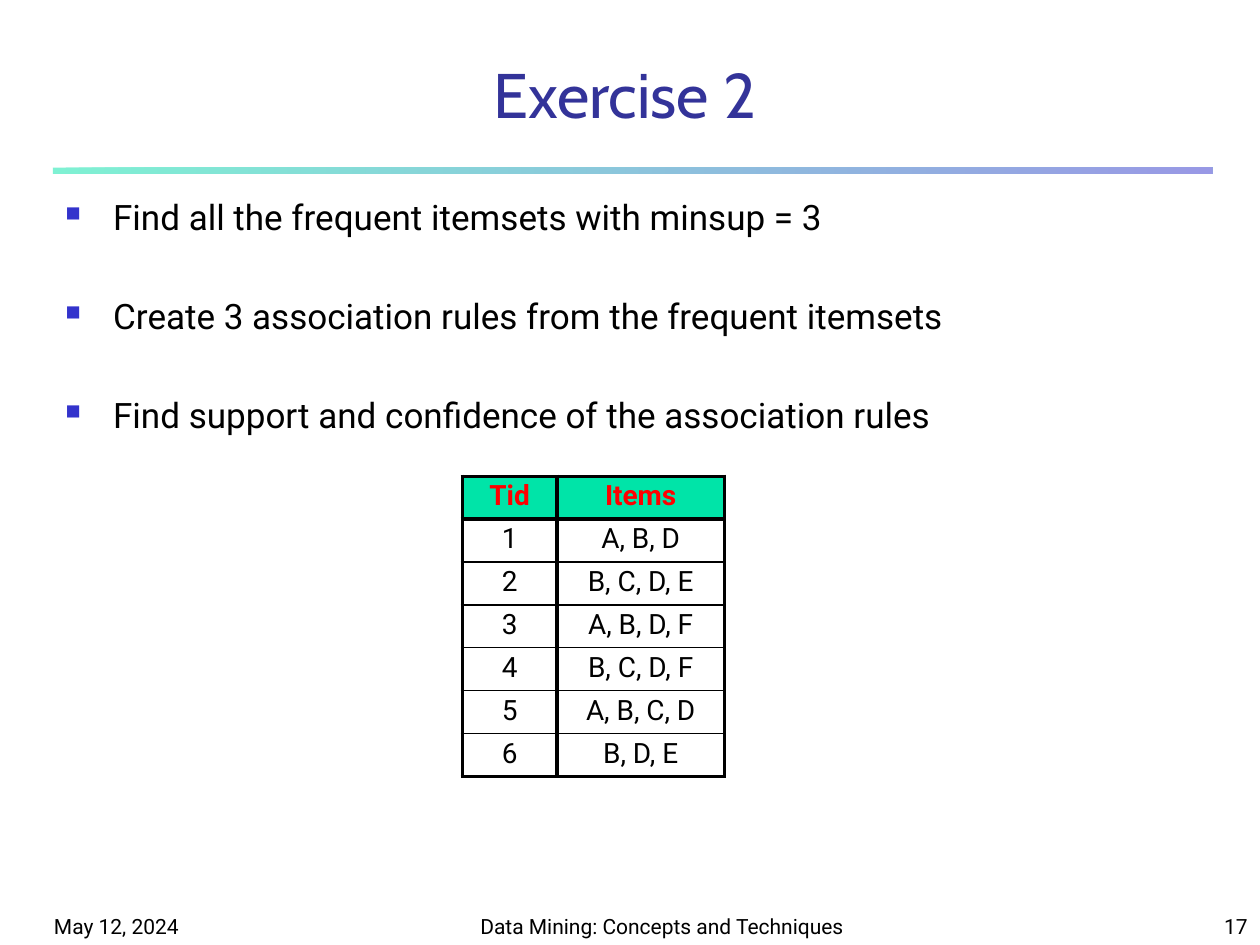
import pptx
import pptx.dml.color
import pptx.enum.shapes
import pptx.enum.text
import pptx.oxml
import pptx.oxml.ns
import pptx.util
from lxml import etree

Inches, Pt = pptx.util.Inches, pptx.util.Pt
RGBColor = pptx.dml.color.RGBColor
ALIGN, ANCHOR = pptx.enum.text.PP_ALIGN, pptx.enum.text.MSO_ANCHOR
qn = pptx.oxml.ns.qn

BLACK = RGBColor(0x00, 0x00, 0x00)
WHITE = RGBColor(0xFF, 0xFF, 0xFF)
RED = RGBColor(0xFF, 0x00, 0x00)
GREEN = RGBColor(0x00, 0xE4, 0xA8)
BLUE = RGBColor(0x33, 0x33, 0xCC)
NAVY = RGBColor(0x33, 0x33, 0x99)

TITLE = "Exercise 2"
TASKS = [
    "Find all the frequent itemsets with minsup = 3",
    "Create 3 association rules from the frequent itemsets",
    "Find support and confidence of the association rules",
]
TRANSACTIONS = [
    ("Tid", "Items"),
    ("1", "A, B, D"),
    ("2", "B, C, D, E"),
    ("3", "A, B, D, F"),
    ("4", "B, C, D, F"),
    ("5", "A, B, C, D"),
    ("6", "B, D, E"),
]
FOOTERS = [  # text, left, width, alignment
    ("May 12, 2024", 0.33, 2.08, ALIGN.LEFT),
    ("Data Mining: Concepts and Techniques", 3.67, 3.17, ALIGN.CENTER),
    ("17", 7.92, 2.08, ALIGN.RIGHT),
]
COLUMN_WIDTHS = (0.75, 1.33)
ROW_HEIGHT = 0.34
THICK, THIN = 2.25, 1


def style(paragraph, size, color=BLACK, font="Roboto", bold=False, align=ALIGN.LEFT):
    paragraph.alignment = align
    for run in paragraph.runs:
        run.font.size, run.font.name, run.font.bold = Pt(size), font, bold
        run.font.color.rgb = color


def add_text(slide, box, lines, anchor, **look):
    frame = slide.shapes.add_textbox(*map(Inches, box)).text_frame
    frame.word_wrap = True
    frame.vertical_anchor = anchor
    frame.text = "\n".join(lines)
    for paragraph in frame.paragraphs:
        style(paragraph, **look)
    return frame


def add_bullet(paragraph):
    properties = paragraph._p.get_or_add_pPr()
    properties.set("marL", str(Inches(0.38)))
    properties.set("indent", str(-Inches(0.38)))
    color = etree.SubElement(properties, qn("a:buClr"))
    etree.SubElement(color, qn("a:srgbClr"), val=str(BLUE))
    etree.SubElement(properties, qn("a:buSzPct"), val="60000")
    etree.SubElement(properties, qn("a:buChar"), char="■")


def set_borders(cell, widths):
    """Draw black borders; widths are points for left, right, top, bottom."""
    properties = cell._tc.get_or_add_tcPr()
    for index, (side, width) in enumerate(zip("LRTB", widths)):
        line = etree.Element(qn(f"a:ln{side}"), w=str(Pt(width)))
        fill = etree.SubElement(line, qn("a:solidFill"))
        etree.SubElement(fill, qn("a:srgbClr"), val=str(BLACK))
        properties.insert(index, line)


def add_rule(slide):
    rule = slide.shapes.add_shape(
        pptx.enum.shapes.MSO_SHAPE.RECTANGLE,
        Inches(0.42), Inches(1.33), Inches(9.2), Inches(0.05))
    rule.shadow.inherit = False
    rule.line.fill.background()
    rule.fill.gradient()
    rule.fill.gradient_angle = 0
    for stop, color in zip(rule.fill.gradient_stops, (GREEN, BLUE)):
        stop.color.rgb = color
    for color in rule._element.spPr.iter(qn("a:srgbClr")):
        etree.SubElement(color, qn("a:alpha"), val="50000")


def add_transactions(slide):
    count = len(TRANSACTIONS)
    table = slide.shapes.add_table(
        count, len(COLUMN_WIDTHS), Inches(3.67), Inches(3.78),
        Inches(sum(COLUMN_WIDTHS)), Inches(ROW_HEIGHT * count)).table
    for column, width in zip(table.columns, COLUMN_WIDTHS):
        column.width = Inches(width)
    for r, values in enumerate(TRANSACTIONS):
        header = r == 0
        table.rows[r].height = Inches(ROW_HEIGHT)
        top = THICK if r <= 1 else THIN
        bottom = THICK if header or r == count - 1 else THIN
        for c, value in enumerate(values):
            cell = table.cell(r, c)
            cell.text = value
            cell.fill.solid()
            cell.fill.fore_color.rgb = GREEN if header else WHITE
            paragraph = cell.text_frame.paragraphs[0]
            paragraph.line_spacing = 0.9
            style(paragraph, 16, RED if header else BLACK, bold=header, align=ALIGN.CENTER)
            set_borders(cell, (THICK, THICK, top, bottom))


def main():
    deck = pptx.Presentation()
    deck.slide_width, deck.slide_height = Inches(10), Inches(7.5)
    slide = deck.slides.add_slide(deck.slide_layouts[6])

    add_rule(slide)
    add_text(slide, (0.42, 0.42, 9.08, 0.67), [TITLE], ANCHOR.BOTTOM,
             size=36, color=NAVY, font="Cabin", align=ALIGN.CENTER)
    tasks = add_text(slide, (0.42, 1.5, 9.17, 5.58), TASKS, ANCHOR.TOP, size=20)
    for paragraph in tasks.paragraphs:
        paragraph.space_before, paragraph.space_after = Pt(2), Pt(30.6)
        add_bullet(paragraph)
    for text, left, width, align in FOOTERS:
        add_text(slide, (left, 7.08, width, 0.42), [text], ANCHOR.BOTTOM, size=12, align=align)
    add_transactions(slide)

    deck.save("out.pptx")


if __name__ == "__main__":
    main()
